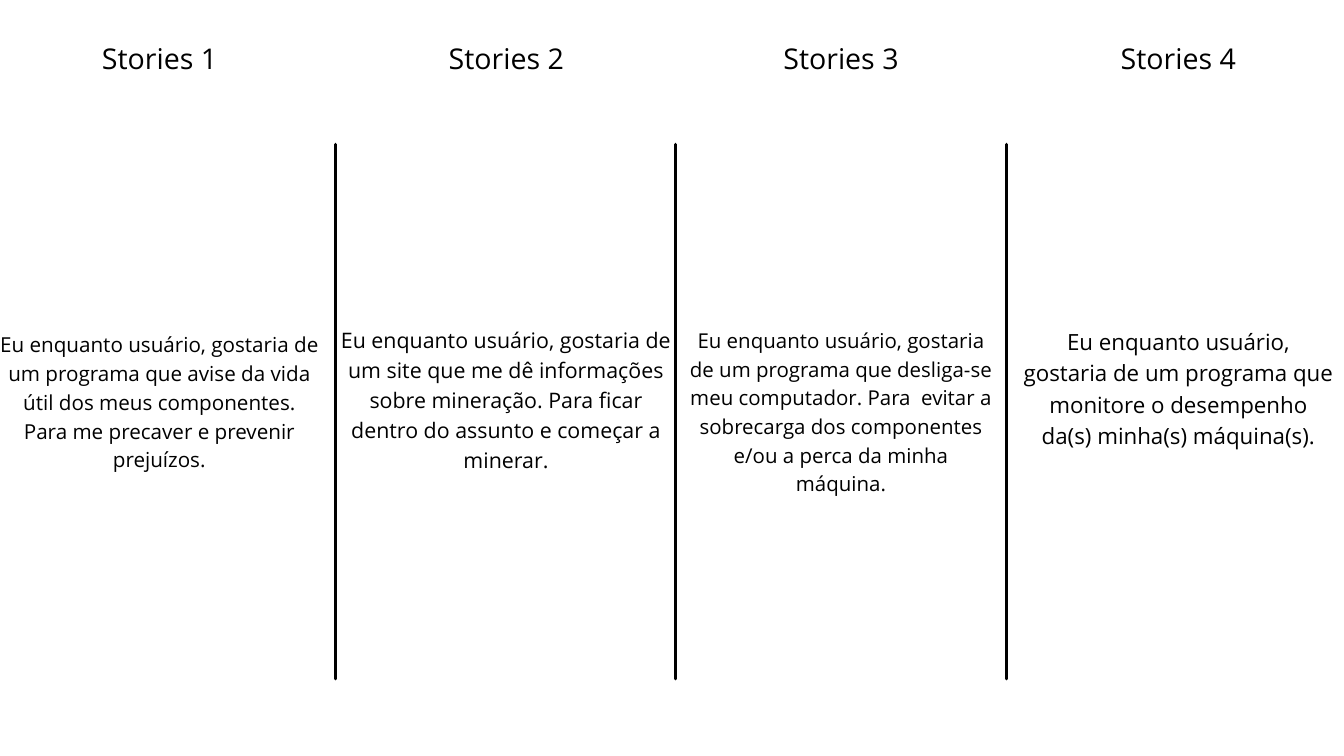
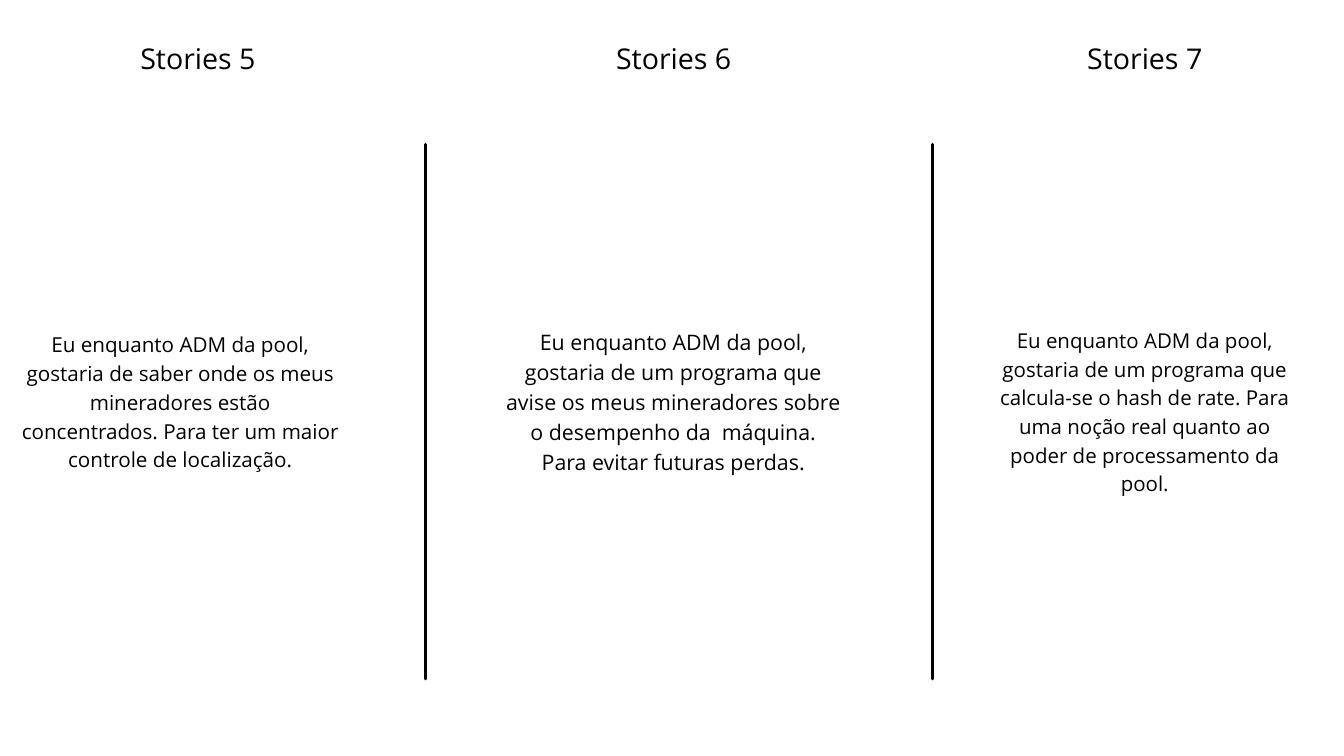
from dataclasses import dataclass
from lxml import etree
from pptx import Presentation
from pptx.dml.color import RGBColor
from pptx.enum.shapes import MSO_CONNECTOR
from pptx.enum.text import MSO_AUTO_SIZE, PP_ALIGN
from pptx.oxml.ns import qn
from pptx.util import Inches, Pt

STRAIGHT = MSO_CONNECTOR.STRAIGHT
CENTER = PP_ALIGN.CENTER
GROW = MSO_AUTO_SIZE.SHAPE_TO_FIT_TEXT


@dataclass(frozen=True)
class Theme:
    ink: RGBColor = RGBColor(0, 0, 0)
    paper: RGBColor = RGBColor(255, 255, 255)
    font: str = "Open Sans"
    heading: float = 30.6
    leading: float = 1.4
    rule: float = 3.75


THEME = Theme()
HEADING_TOP, HEADING_WIDTH = 0.52, 1.89
RULE_TOP, RULE_BOTTOM = 2.15, 10.1

SLIDES = [
    {
        "heading_height": 0.57,
        "rules": [4.99, 10.05, 14.98],
        "stories": [
            ("Stories 1", 1.43, (0, 4.88, 4.74, 1.7), 22.1,
             "Eu enquanto usuário, gostaria de um programa que avise da vida útil "
             "dos meus componentes. Para me precaver e prevenir prejuízos."),
            ("Stories 2", 6.59, (5.04, 4.81, 4.98, 1.77), 22.9,
             "Eu enquanto usuário, gostaria de um site que me dê informações sobre "
             "mineração. Para ficar dentro do assunto e começar a minerar."),
            ("Stories 3", 11.57, (10.21, 4.82, 4.61, 2.11), 21.9,
             "Eu enquanto usuário, gostaria de um programa que desliga-se meu "
             "computador. Para  evitar a sobrecarga dos componentes e/ou a perca "
             "da minha máquina."),
            ("Stories 4", 16.59, (15.23, 4.82, 4.61, 1.84), 23.9,
             "Eu enquanto usuário, gostaria de um programa que monitore o "
             "desempenho da(s) minha(s) máquina(s)."),
        ],
    },
    {
        "heading_height": 1.17,
        "rules": [6.33, 13.88],
        "stories": [
            ("Stories 5", 2, (0.31, 4.88, 4.74, 2.13), 22.1,
             "Eu enquanto ADM da pool, gostaria de saber onde os meus mineradores "
             "estão concentrados. Para ter um maior controle de localização."),
            ("Stories 6", 9.08, (7.53, 4.83, 4.98, 2.22), 22.9,
             "Eu enquanto ADM da pool, gostaria de um programa que avise os meus "
             "mineradores sobre o desempenho da  máquina. Para evitar futuras "
             "perdas."),
            ("Stories 7", 16.09, (14.73, 4.82, 4.61, 2.11), 21.9,
             "Eu enquanto ADM da pool, gostaria de um programa que calcula-se o "
             "hash de rate. Para uma noção real quanto ao poder de processamento "
             "da pool."),
        ],
    },
]


def add_text(s, box, text, size):
    tf = s.shapes.add_textbox(*map(Inches, box)).text_frame
    tf.margin_left = tf.margin_top = tf.margin_right = tf.margin_bottom = 0
    tf.word_wrap = True
    tf.auto_size = GROW
    p = tf.paragraphs[0]
    p.text = text
    p.alignment = CENTER
    p.line_spacing = Pt(round(size * THEME.leading, 1))
    p.font.name = THEME.font
    p.font.size = Pt(size)
    p.font.color.rgb = THEME.ink


def add_rule(s, x):
    rule = s.shapes.add_connector(STRAIGHT, Inches(x), Inches(RULE_TOP),
                                  Inches(x), Inches(RULE_BOTTOM))
    rule.line.color.rgb = THEME.ink
    rule.line.width = Pt(THEME.rule)
    rule.line._get_or_add_ln().set("cap", "rnd")
    etree.SubElement(rule._element.spPr, qn("a:effectLst"))


prs = Presentation()
prs.slide_width, prs.slide_height = Inches(20), Inches(11.25)
blank = prs.slide_layouts.get_by_name("Blank")

for content in SLIDES:
    s = prs.slides.add_slide(blank)
    s.background.fill.solid()
    s.background.fill.fore_color.rgb = THEME.paper
    for x in content["rules"]:
        add_rule(s, x)
    for heading, left, box, size, story in content["stories"]:
        heading_box = (left, HEADING_TOP, HEADING_WIDTH, content["heading_height"])
        add_text(s, heading_box, heading, THEME.heading)
        add_text(s, box, story, size)

prs.save("out.pptx")
